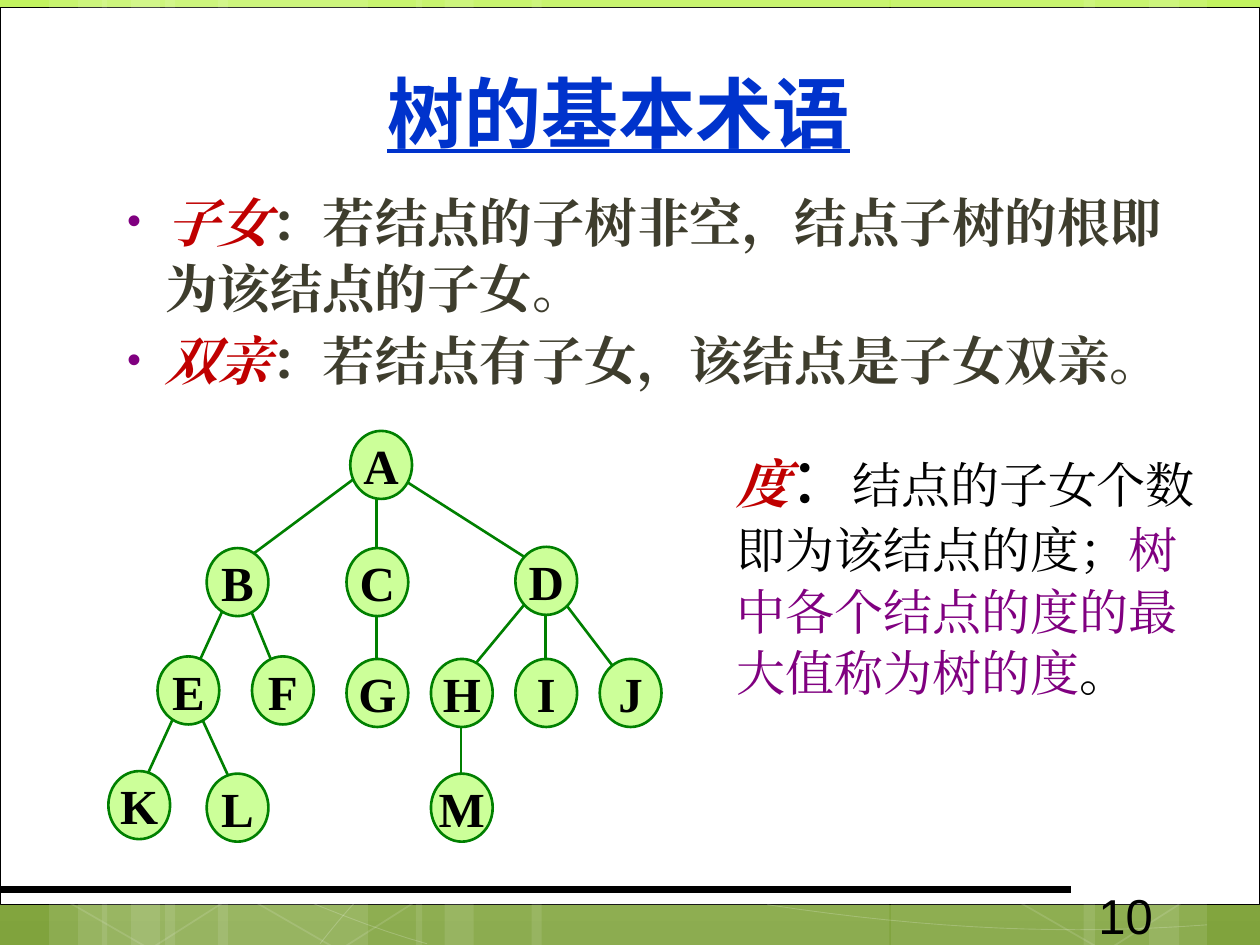
from lxml.etree import SubElement
from pptx import Presentation
from pptx.dml.color import RGBColor
from pptx.enum.shapes import MSO_CONNECTOR as CONNECTOR, MSO_SHAPE as SHAPE
from pptx.enum.text import MSO_ANCHOR as ANCHOR, MSO_AUTO_SIZE as AUTO, PP_ALIGN as ALIGN
from pptx.oxml.ns import qn
from pptx.util import Inches, Pt

WHITE = RGBColor(0xFF, 0xFF, 0xFF)
BLACK = RGBColor(0, 0, 0)
LIME = RGBColor(0xC2, 0xF3, 0x5F)
MOSS = RGBColor(0x80, 0xA3, 0x3D)
BLUE = RGBColor(0x00, 0x33, 0xCC)
RED = RGBColor(0xC0, 0, 0)
OLIVE = RGBColor(0x3E, 0x3D, 0x2D)
PURPLE = RGBColor(0x80, 0, 0x80)
GREEN = RGBColor(0, 0x80, 0)
PALE = RGBColor(0xCC, 0xFF, 0x99)

SERIF, SANS, CJK, HEADING = "Times New Roman", "Arial", "Noto Sans CJK SC", "Quicksand"
COLUMNS, ROWS = 100, 75
NODE_COLUMNS, NODE_ROWS = 4.9, 5.4

BANDS = [(13.1, 16.1), (3.9, 4.6), (6.2, 7.7), (17.3, 16.2), (8.1, 4.6), (10.4, 7.7),
         (70.7, 16.2), (91.2, 4.6), (86, 7.6), (42.2, 28.4), (33, 4.6), (35.3, 7.7)]
HEXAGONS = [(4.1, 59.1), (19.1, 59.2), (79.9, 59.3)]
CURVES = [
    [(3.6, 61.7), (14.7, 67.2), (25.8, 72.7), (33.9, 74.9)],
    [(60.9, 71.8), (74, 73.8), (85, 74.2), (95.8, 73.4)],
    [(25.4, 74.9), (27, 72.9), (28.6, 70.9), (30.9, 69.1)],
]
NODES = {
    "D": (40.9, 43.4), "A": (27.8, 34.2), "C": (27.5, 43.5), "B": (16.4, 43.5),
    "I": (40.9, 52.3), "J": (47.6, 52.3), "H": (34.2, 52.3), "G": (27.5, 52.3),
    "F": (20, 52.1), "E": (12.5, 52.1), "M": (34.2, 61.4), "L": (16.4, 61.4),
    "K": (8.6, 61.2),
}
BRANCHES = [
    (44.7, 47.7, 49.2, 53.6), (41.6, 48, 37.3, 53.2), (43.3, 48.8, 43.3, 53),
    (36.6, 57.2, 36.6, 62.2), (31.9, 38, 42.4, 44.7), (28.1, 38, 19.1, 44.7),
    (29.9, 38.8, 29.9, 57.2), (19.6, 47.7, 22.1, 53.8), (16.1, 57.2, 18.4, 62.2),
    (18.2, 47.3, 10.4, 64.3),
]
TERMS = [("子女", "：若结点的子树非空，结点子树的根即为该结点的子女。"),
         ("双亲", "：若结点有子女，该结点是子女双亲。")]


class SlideBuilder:
    def __init__(self, deck):
        self.cell_width = deck.slide_width / COLUMNS
        self.cell_height = deck.slide_height / ROWS
        self.slide = deck.slides.add_slide(deck.slide_layouts[1])
        self.shapes = self.slide.shapes

    def grid(self, *lengths):
        units = (self.cell_width, self.cell_height)
        return [round(length * units[i % 2]) for i, length in enumerate(lengths)]

    def background(self, top, bottom):
        fill = self.slide.background.fill
        fill.gradient()
        fill.gradient_angle = 270
        for stop, color in zip(fill.gradient_stops, (top, bottom)):
            stop.color.rgb = color

    def paint(self, shape, fill=None, line=None, width=1, opacity=100):
        shape.shadow.inherit = False
        if fill is None:
            shape.fill.background()
        else:
            shape.fill.solid()
            shape.fill.fore_color.rgb = fill
        if line is None:
            shape.line.fill.background()
        else:
            shape.line.color.rgb = line
            shape.line.width = Pt(width)
        if opacity < 100:
            for color in shape.element.spPr.iter(qn("a:srgbClr")):
                SubElement(color, qn("a:alpha")).set("val", str(opacity * 1000))
        return shape

    def block(self, kind, place, **style):
        return self.paint(self.shapes.add_shape(kind, *self.grid(*place)), **style)

    def hexagon(self, column, row):
        shape = self.block(SHAPE.HEXAGON, (column, row, 16.1, 15.2), line=WHITE, opacity=12)
        shape.adjustments[0] = 0.26
        shape.rotation = 30

    def curve(self, controls, steps=16):
        points = []
        for step in range(steps + 1):
            t = step / steps
            weights = ((1 - t) ** 3, 3 * t * (1 - t) ** 2, 3 * t * t * (1 - t), t ** 3)
            points.append(self.grid(*(sum(w * c for w, c in zip(weights, axis))
                                      for axis in zip(*controls))))
        outline = self.shapes.build_freeform(*points[0])
        outline.add_line_segments(points[1:], close=False)
        self.paint(outline.convert_to_shape(), line=WHITE, width=0.5, opacity=20)

    def line(self, ends, color, width):
        connector = self.shapes.add_connector(CONNECTOR.STRAIGHT, *self.grid(*ends))
        connector.line.color.rgb = color
        connector.line.width = Pt(width)
        SubElement(connector.element.spPr, qn("a:effectLst"))

    def font(self, target, size=None, name=None, color=None, **flags):
        font = getattr(target, "font")
        if size:
            font.size = Pt(size)
        if color is not None:
            font.color.rgb = color
        for flag, value in flags.items():
            setattr(font, flag, value)
        if name:
            font.name = name
            holder = target._r.get_or_add_rPr() if hasattr(target, "_r") else \
                target._p.get_or_add_pPr().get_or_add_defRPr()
            SubElement(holder, qn("a:ea")).set("typeface", name)

    def run(self, paragraph, text, **style):
        run = paragraph.add_run()
        run.text = text
        self.font(run, **style)

    def placeholder(self, index, place):
        holder = self.slide.placeholders[index]
        holder.left, holder.top, holder.width, holder.height = self.grid(*place)
        holder.text_frame.auto_size = AUTO.NONE
        self.shapes.element.append(holder.element)
        return holder.text_frame

    def inset(self, frame, size=0):
        frame.margin_left = frame.margin_right = size
        frame.margin_top = frame.margin_bottom = size

    def title(self, text, place):
        frame = self.placeholder(0, place)
        self.inset(frame)
        frame.vertical_anchor = ANCHOR.MIDDLE
        heading = frame.paragraphs[0]
        heading.alignment = ALIGN.CENTER
        self.run(heading, text, size=44, name=HEADING, color=BLUE, bold=True, underline=True)

    def bullet(self, paragraph, color):
        props = paragraph._p.get_or_add_pPr()
        props.set("marL", str(Inches(0.38)))
        props.set("indent", str(Inches(-0.3)))
        SubElement(SubElement(props, qn("a:buClr")), qn("a:srgbClr")).set("val", str(color))
        SubElement(props, qn("a:buSzPct")).set("val", "76000")
        SubElement(props, qn("a:buFont")).set("typeface", SANS)
        SubElement(props, qn("a:buChar")).set("char", "•")

    def definitions(self, terms, place):
        frame = self.placeholder(1, place)
        frame.vertical_anchor = ANCHOR.TOP
        for i, (term, meaning) in enumerate(terms):
            entry = frame.add_paragraph() if i else frame.paragraphs[0]
            entry.line_spacing = 1.05
            entry.space_before = Pt(3.7 if i else 0)
            self.bullet(entry, PURPLE)
            self.font(entry, size=30, name=SERIF, bold=True)
            style = dict(size=30, name=SERIF, bold=True)
            self.run(entry, term, color=RED, italic=True, **style)
            self.run(entry, meaning, color=OLIVE, **style)

    def text(self, place, runs, spacing=None):
        frame = self.shapes.add_textbox(*self.grid(*place)).text_frame
        frame.word_wrap = True
        paragraph = frame.paragraphs[0]
        paragraph.line_spacing = spacing
        for words, style in runs:
            self.run(paragraph, words, **style)

    def node(self, letter, column, row):
        circle = self.block(SHAPE.OVAL, (column, row, NODE_COLUMNS, NODE_ROWS),
                            fill=PALE, line=GREEN, width=1.5)
        frame = circle.text_frame
        self.inset(frame)
        frame.word_wrap = False
        frame.vertical_anchor = ANCHOR.MIDDLE
        label = frame.paragraphs[0]
        label.alignment = ALIGN.CENTER
        self.run(label, letter, size=28, name=SERIF, color=BLACK, bold=True)


def main():
    deck = Presentation()
    deck.slide_width, deck.slide_height = Inches(10), Inches(7.5)
    page = SlideBuilder(deck)
    page.background(LIME, MOSS)
    page.block(SHAPE.RECTANGLE, (0, 0.6, COLUMNS, 71.2), fill=WHITE, line=BLACK, width=0.5)
    for column, width in BANDS:
        page.block(SHAPE.RECTANGLE, (column, 0, width, ROWS), fill=WHITE, opacity=10)
    for controls in CURVES:
        page.curve(controls)
    for place in HEXAGONS:
        page.hexagon(*place)
    page.line((0, 70.6, 85, 70.6), BLACK, 4.5)

    page.title("树的基本术语", (6.6, 3.6, 85, 10.6))
    page.definitions(TERMS, (8.3, 14.3, 85.8, 17.3))
    page.text((86.2, 69.8, 14.6, 4), [("10", dict(size=28, name=SANS, color=BLACK))])
    for ends in BRANCHES:
        page.line(ends, GREEN, 1.5)
    for letter, place in NODES.items():
        page.node(letter, *place)
    plain = dict(size=28, name=SERIF, color=BLACK)
    page.text((57.5, 34.2, 39.4, 22), [
        ("度", dict(size=30, name=SERIF, color=RED, bold=True, italic=True)),
        ("：", dict(size=36, name=CJK, color=BLACK)),
        ("结点的子女个数即为该结点的度；", plain),
        ("树中各个结点的度的最大值称为树的度", {**plain, "color": PURPLE}),
        ("。", plain),
    ], spacing=1.05)
    deck.save("out.pptx")


if __name__ == "__main__":
    main()
